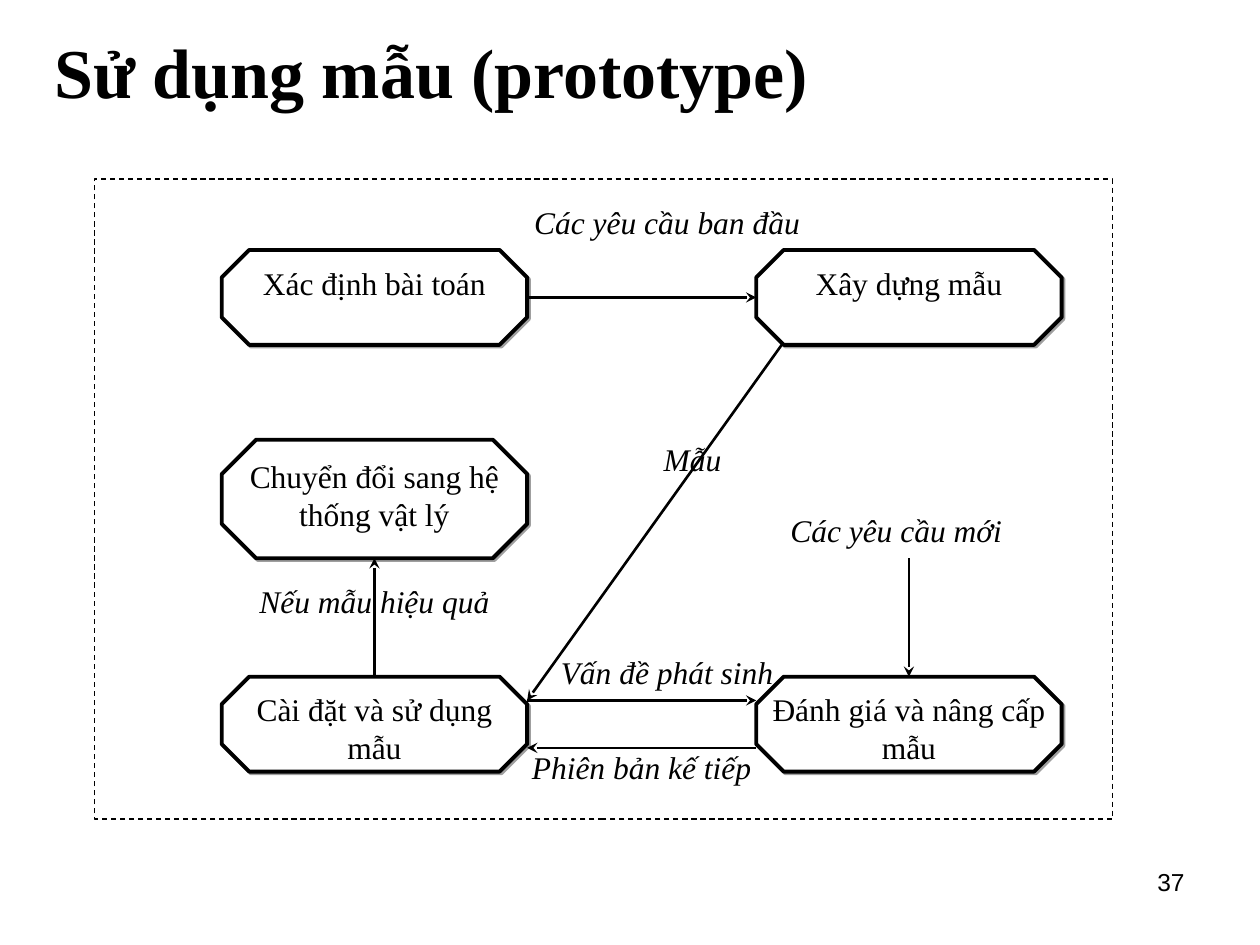
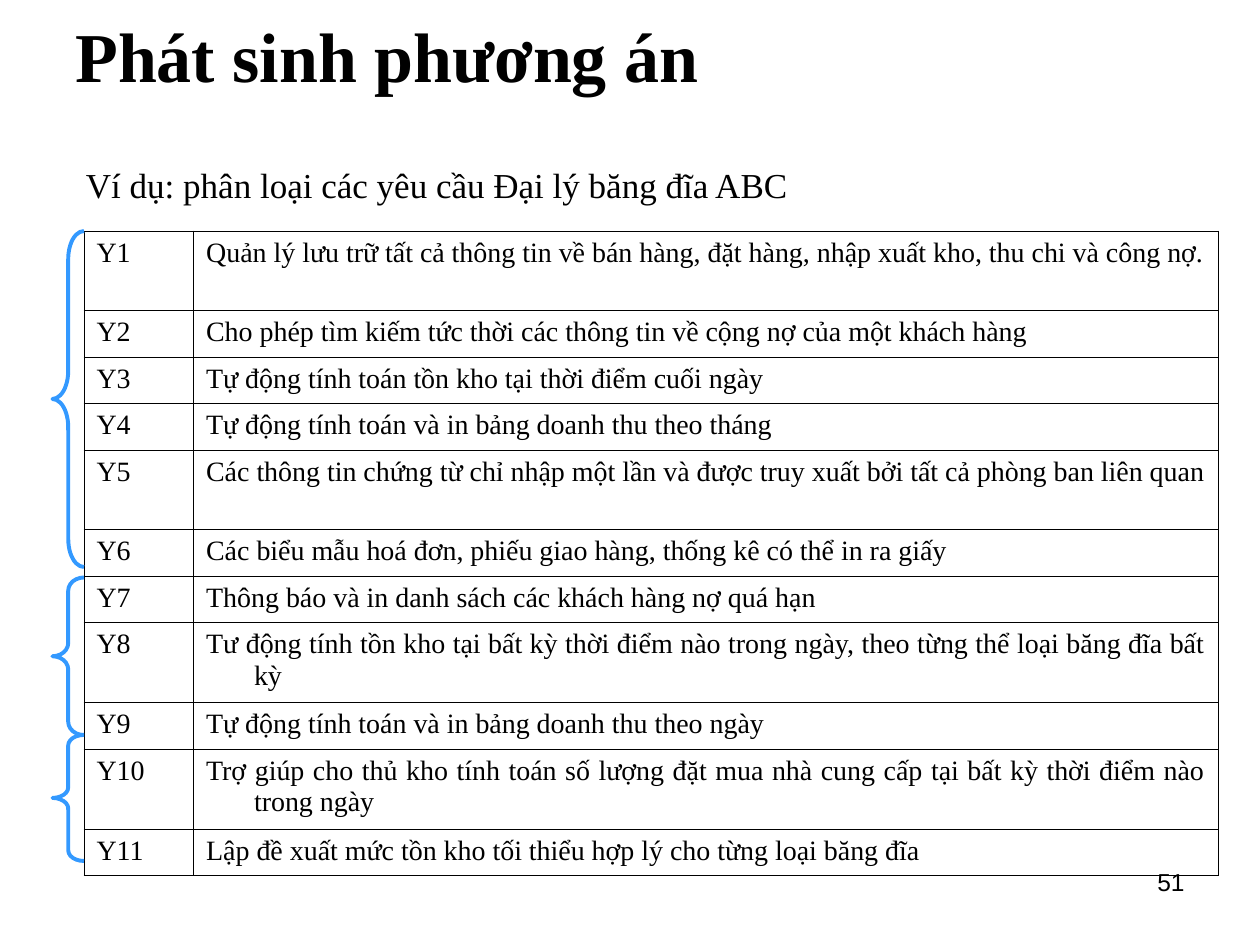
from dataclasses import dataclass
from typing import NamedTuple

from lxml import etree
from pptx import Presentation, util as u
from pptx.dml.color import RGBColor
from pptx.enum import dml, shapes, text
from pptx.oxml import ns

BLACK = RGBColor(0x00, 0x00, 0x00)
WHITE = RGBColor(0xFF, 0xFF, 0xFF)
GREY = RGBColor(0x80, 0x80, 0x80)
BLUE = RGBColor(0x33, 0x99, 0xFF)
SERIF, SANS = "Times New Roman", "Arial"
WIDTH, HEIGHT = u.Inches(10), u.Inches(7.5)
LEFT, CENTER, RIGHT, JUSTIFY = (text.PP_ALIGN.LEFT, text.PP_ALIGN.CENTER,
                                text.PP_ALIGN.RIGHT, text.PP_ALIGN.JUSTIFY)

BASE = {"name": SERIF, "size": u.Pt(18), "bold": False, "italic": False}
TITLE = BASE | {"size": u.Pt(40), "bold": True}
LABEL = BASE | {"italic": True}
EXAMPLE = BASE | {"size": u.Pt(20)}
CELL = BASE | {"size": u.Pt(16)}
NUMBER = BASE | {"name": SANS, "size": u.Pt(14)}


class Box(NamedTuple):
    """A place on a grid, in columns and rows."""
    col: float
    row: float
    cols: float
    rows: float


@dataclass(frozen=True)
class Grid:
    left: float
    top: float
    col: float
    row: float

    def point(self, col: float, row: float) -> tuple[int, int]:
        return int(self.left + col * self.col), int(self.top + row * self.row)

    def place(self, box: Box) -> tuple[int, int, int, int]:
        return (*self.point(box.col, box.row),
                int(box.cols * self.col), int(box.rows * self.row))


class Item(NamedTuple):
    words: str
    box: Box


class Arrow(NamedTuple):
    start: tuple[float, float]
    end: tuple[float, float]


class Requirement(NamedTuple):
    words: str
    tall: bool = False


PAGE = Grid(0, 0, WIDTH / 120, HEIGHT / 90)
FRAME = Box(0, 0, 40, 27)
DIAGRAM = Grid(u.Inches(0.75), u.Inches(1.42),
               u.Inches(8.08) / FRAME.cols, u.Inches(5.08) / FRAME.rows)
STEPS = [
    Item("Xác định bài toán", Box(5, 3, 12, 4)),
    Item("Xây dựng mẫu", Box(26, 3, 12, 4)),
    Item("Cài đặt và sử dụng mẫu", Box(5, 21, 12, 4)),
    Item("Đánh giá và nâng cấp mẫu", Box(26, 21, 12, 4)),
    Item("Chuyển đổi sang hệ thống vật lý", Box(5, 11, 12, 5)),
]
ARROWS = [
    Arrow((17, 5), (26, 5)),
    Arrow((27, 7), (17, 22)),
    Arrow((17, 22), (26, 22)),
    Arrow((26, 24), (17, 24)),
    Arrow((11, 21), (11, 16)),
    Arrow((32, 16), (32, 21)),
]
LABELS = [
    Item("Các yêu cầu ban đầu", Box(17, 1, 11, 4)),
    Item("Mẫu", Box(18, 11, 11, 2)),
    Item("Vấn đề phát sinh", Box(17, 20, 11, 2)),
    Item("Phiên bản kế tiếp", Box(16, 24, 11, 2)),
    Item("Các yêu cầu mới", Box(26, 14, 11, 2)),
    Item("Nếu mẫu hiệu quả", Box(6, 17, 10, 3)),
]

REQUIREMENTS = [
    Requirement("Quản lý lưu trữ tất cả thông tin về bán hàng, đặt hàng, "
                "nhập xuất kho, thu chi và công nợ.", tall=True),
    Requirement("Cho phép tìm kiếm tức thời các thông tin về cộng nợ của một khách hàng"),
    Requirement("Tự động tính toán tồn kho tại thời điểm cuối ngày"),
    Requirement("Tự động tính toán và in bảng doanh thu theo tháng"),
    Requirement("Các thông tin chứng từ chỉ nhập một lần và được truy xuất "
                "bởi tất cả phòng ban liên quan", tall=True),
    Requirement("Các biểu mẫu hoá đơn, phiếu giao hàng, thống kê có thể in ra giấy"),
    Requirement("Thông báo và in danh sách các khách hàng nợ quá hạn"),
    Requirement("Tư động tính tồn kho tại bất kỳ thời điểm nào trong ngày, "
                "theo từng thể loại băng đĩa bất kỳ", tall=True),
    Requirement("Tự động tính toán và in bảng doanh thu theo ngày"),
    Requirement("Trợ giúp cho thủ kho tính toán số lượng đặt mua nhà cung cấp "
                "tại bất kỳ thời điểm nào trong ngày", tall=True),
    Requirement("Lập đề xuất mức tồn kho tối thiểu hợp lý cho từng loại băng đĩa"),
]
CODE_WIDTH, WORDS_WIDTH = u.Inches(0.87), u.Inches(8.13)
ROW_HEIGHT, TALL_HEIGHT = u.Inches(0.37), u.Inches(0.63)
BRACES = [Box(5, 22, 3, 32), Box(5, 55, 3, 15), Box(5, 70, 3, 12)]


def add_xml(parent, tag: str, **attrs):
    return etree.SubElement(parent, ns.qn(tag), attrs)


def write(tf, words: str, style: dict, align=LEFT):
    p = tf.paragraphs[0]
    p.alignment = align
    r = p.add_run()
    r.text = words
    for name, value in style.items():
        setattr(r.font, name, value)
    r.font.color.rgb = BLACK
    return p


def clear_insets(tf) -> None:
    for side in ("left", "top", "right", "bottom"):
        setattr(tf, f"margin_{side}", 0)


def add_text(s, grid: Grid, item: Item, style: dict, align=LEFT,
             anchor=text.MSO_ANCHOR.TOP, wrap: bool = True):
    tf = s.shapes.add_textbox(*grid.place(item.box)).text_frame
    tf.word_wrap = wrap
    tf.vertical_anchor = anchor
    write(tf, item.words, style, align)
    return tf


def add_outline(s, kind, grid: Grid, box: Box, color: RGBColor, width: float):
    """Add an unfilled preset shape without a shadow."""
    sp = s.shapes.add_shape(kind, *grid.place(box))
    sp.shadow.inherit = False
    sp.fill.background()
    sp.line.color.rgb = color
    sp.line.width = u.Pt(width)
    return sp


def add_step(s, step: Item) -> None:
    sp = add_outline(s, shapes.MSO_SHAPE.OCTAGON, DIAGRAM, step.box, BLACK, 2.25)
    sp.adjustments[0] = 0.29
    sp.fill.solid()
    sp.fill.fore_color.rgb = WHITE
    effects = sp._element.spPr.find(ns.qn("a:effectLst"))
    shadow = add_xml(effects, "a:outerShdw", dist=str(u.Pt(1.4)),
                     dir=str(45 * 60000), algn="ctr", rotWithShape="0")
    color = add_xml(shadow, "a:srgbClr", val=str(GREY))
    add_xml(color, "a:alpha", val="75000")
    tf = sp.text_frame
    tf.word_wrap = True
    tf.vertical_anchor = text.MSO_ANCHOR.TOP
    clear_insets(tf)
    write(tf, step.words, BASE, CENTER)


def add_arrow(s, arrow: Arrow) -> None:
    c = s.shapes.add_connector(shapes.MSO_CONNECTOR.STRAIGHT,
                               *DIAGRAM.point(*arrow.start), *DIAGRAM.point(*arrow.end))
    c.line.color.rgb = BLACK
    c.line.width = u.Pt(1.5)
    add_xml(c.line._get_or_add_ln(), "a:tailEnd", type="stealth")
    add_xml(c._element.spPr, "a:effectLst")


def add_brace(s, box: Box) -> None:
    sp = add_outline(s, shapes.MSO_SHAPE.LEFT_BRACE, PAGE, box, BLUE, 2.25)
    sp.adjustments[0] = box.rows / 12 / box.cols


def fill_cell(cell, words: str) -> None:
    cell.fill.background()
    p = write(cell.text_frame, words, CELL, JUSTIFY)
    indent = u.Inches(0.38)
    p._p.get_or_add_pPr().set("marL", str(indent))
    p._p.get_or_add_pPr().set("indent", str(-indent))
    tcPr = cell._tc.get_or_add_tcPr()
    for i, side in enumerate(("a:lnL", "a:lnR", "a:lnT", "a:lnB")):
        ln = etree.Element(ns.qn(side), w=str(u.Pt(0.45)))
        add_xml(add_xml(ln, "a:solidFill"), "a:srgbClr", val=str(BLACK))
        tcPr.insert(i, ln)


def add_requirements(s) -> None:
    heights = [TALL_HEIGHT if q.tall else ROW_HEIGHT for q in REQUIREMENTS]
    table = s.shapes.add_table(len(REQUIREMENTS), 2, *PAGE.point(8, 22),
                               CODE_WIDTH + WORDS_WIDTH, sum(heights)).table
    table.first_row = table.horz_banding = False
    table.columns[0].width, table.columns[1].width = CODE_WIDTH, WORDS_WIDTH
    for i, (requirement, height) in enumerate(zip(REQUIREMENTS, heights)):
        table.rows[i].height = height
        fill_cell(table.cell(i, 0), f"Y{i + 1}")
        fill_cell(table.cell(i, 1), requirement.words)


def new_slide(prs, title: Item, number: int):
    s = prs.slides.add_slide(prs.slide_layouts[6])
    add_text(s, PAGE, Item(str(number), Box(86, 82, 28, 6.2)), NUMBER, RIGHT)
    add_text(s, PAGE, title, TITLE, anchor=text.MSO_ANCHOR.MIDDLE)
    return s


def prototype_slide(prs) -> None:
    s = new_slide(prs, Item("Sử dụng mẫu (prototype)", Box(4, 3, 108, 7.5)), 37)
    for step in STEPS:
        add_step(s, step)
    for arrow in ARROWS:
        add_arrow(s, arrow)
    for label in LABELS:
        clear_insets(add_text(s, DIAGRAM, label, LABEL, CENTER))
    frame = add_outline(s, shapes.MSO_SHAPE.RECTANGLE, DIAGRAM, FRAME, BLACK, 0.75)
    frame.line.dash_style = dml.MSO_LINE.DASH


def alternatives_slide(prs) -> None:
    s = new_slide(prs, Item("Phát sinh phương án", Box(6, 3.6, 108, 3.2)), 51)
    add_requirements(s)
    example = Item("Ví dụ: phân loại các yêu cầu Đại lý băng đĩa ABC",
                   Box(7, 15, 69.5, 5.3))
    add_text(s, PAGE, example, EXAMPLE, wrap=False)
    for box in BRACES:
        add_brace(s, box)


def main() -> None:
    prs = Presentation()
    prs.slide_width, prs.slide_height = WIDTH, HEIGHT
    prototype_slide(prs)
    alternatives_slide(prs)
    prs.save("out.pptx")


if __name__ == "__main__":
    main()
